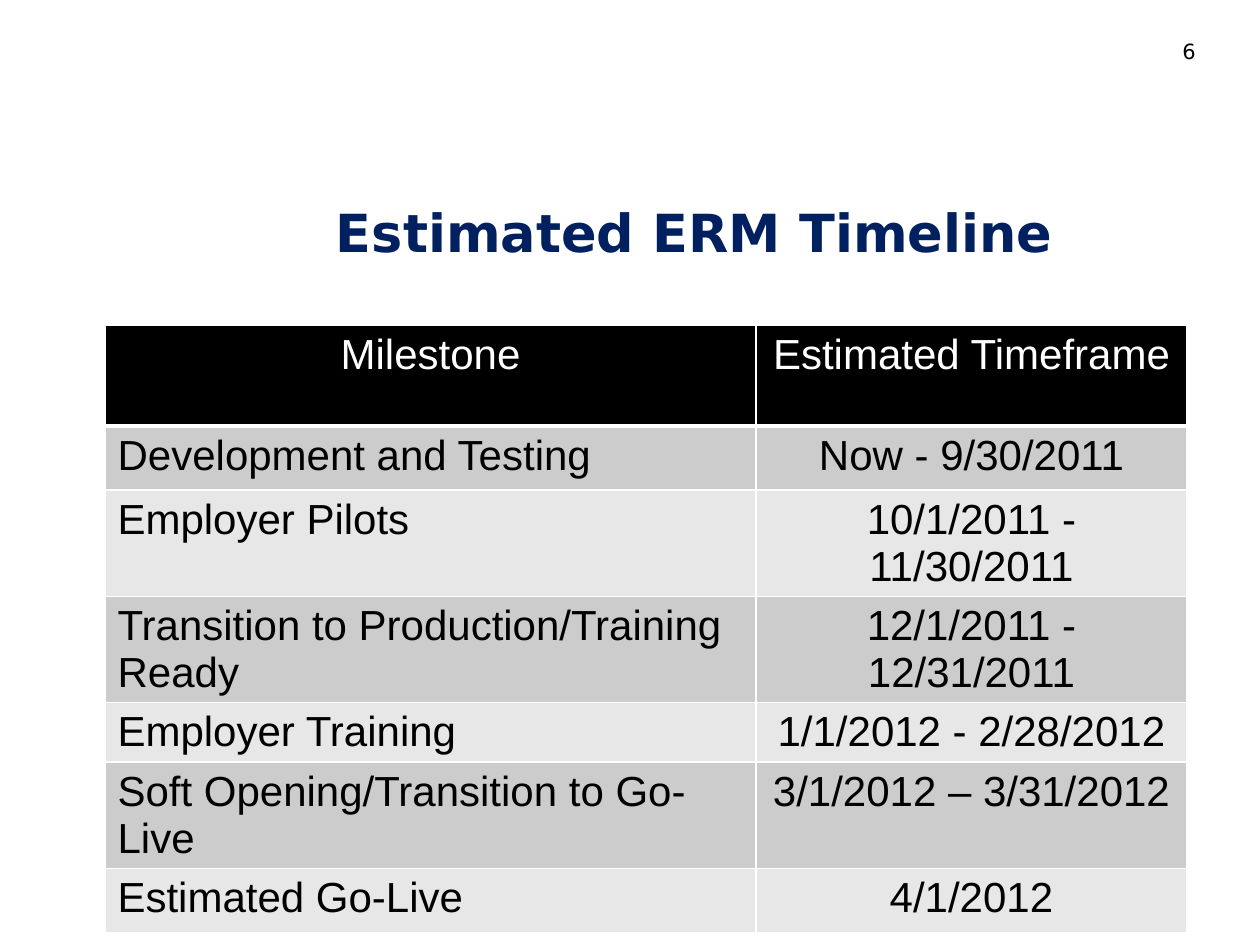
from dataclasses import dataclass
from typing import NamedTuple

from lxml import etree
from pptx import Presentation
from pptx import util as u
from pptx.dml.color import RGBColor
from pptx.enum import text
from pptx.oxml.ns import qn

EMU_PER_PX = 914400 / 126


@dataclass(frozen=True)
class Theme:
    heading_font: str = "DejaVu Sans"
    table_font: str = "Arial"
    number_size: int = 12
    title_size: int = 30
    table_size: int = 24
    navy: str = "002060"
    black: str = "000000"
    white: str = "FFFFFF"
    bands: tuple[str, str] = ("CCCCCC", "E7E7E7")


class Box(NamedTuple):
    left: int
    top: int
    width: int
    height: int


class Milestone(NamedTuple):
    name: str
    timeframe: str
    height: int


THEME = Theme()
HEADER = Milestone("Milestone", "Estimated Timeframe", 101)
MILESTONES = [
    Milestone("Development and Testing", "Now - 9/30/2011", 64),
    Milestone("Employer Pilots", "10/1/2011 - 11/30/2011", 55),
    Milestone("Transition to Production/Training Ready", "12/1/2011 - 12/31/2011", 53),
    Milestone("Employer Training", "1/1/2012 - 2/28/2012", 53),
    Milestone("Soft Opening/Transition to Go-Live", "3/1/2012 – 3/31/2012", 66),
    Milestone("Estimated Go-Live", "4/1/2012", 64),
]
COLUMN_WIDTHS = (651, 431)


def px(length: int) -> u.Emu:
    return u.Emu(round(length * EMU_PER_PX))


def style(paragraph, font: str, size: int, color: str, align, bold: bool = False) -> None:
    paragraph.alignment = align
    paragraph.font.name = font
    paragraph.font.size = u.Pt(size)
    paragraph.font.bold = bold
    paragraph.font.color.rgb = RGBColor.from_string(color)


def add_label(slide, box: Box, words: str):
    frame = slide.shapes.add_textbox(*map(px, box)).text_frame
    frame.word_wrap = True
    frame.text = words
    return frame


def set_borders(cell, color: str, bottom_points: int) -> None:
    properties = cell._tc.get_or_add_tcPr()
    widths = {"a:lnL": 1, "a:lnR": 1, "a:lnT": 1, "a:lnB": bottom_points}
    for position, (side, points) in enumerate(widths.items()):
        line = etree.Element(qn(side), w=str(u.Pt(points)))
        fill = etree.SubElement(line, qn("a:solidFill"))
        etree.SubElement(fill, qn("a:srgbClr"), val=color)
        properties.insert(position, line)


def fill_row(cells, milestone: Milestone, band: str, color: str, name_align,
             bottom_points: int = 1) -> None:
    entries = ((milestone.name, name_align),
               (milestone.timeframe, text.PP_ALIGN.CENTER))
    for cell, (words, align) in zip(cells, entries):
        cell.text = words
        cell.fill.solid()
        cell.fill.fore_color.rgb = RGBColor.from_string(band)
        set_borders(cell, THEME.white, bottom_points)
        style(cell.text_frame.paragraphs[0], THEME.table_font, THEME.table_size,
              color, align)


def add_timeline(slide, left: int, top: int) -> None:
    rows = [HEADER, *MILESTONES]
    height = sum(row.height for row in rows)
    box = Box(left, top, sum(COLUMN_WIDTHS), height)
    table = slide.shapes.add_table(len(rows), len(COLUMN_WIDTHS), *map(px, box)).table
    for column, width in zip(table.columns, COLUMN_WIDTHS):
        column.width = px(width)
    for table_row, row in zip(table.rows, rows):
        table_row.height = px(row.height)

    fill_row(table.rows[0].cells, HEADER, THEME.black, THEME.white,
             text.PP_ALIGN.CENTER, bottom_points=3)
    for index, milestone in enumerate(MILESTONES):
        fill_row(table.rows[index + 1].cells, milestone, THEME.bands[index % 2],
                 THEME.black, text.PP_ALIGN.LEFT)


def main() -> None:
    deck = Presentation()
    deck.slide_width, deck.slide_height = px(1260), px(945)
    slide = deck.slides.add_slide(deck.slide_layouts[6])

    add_timeline(slide, 105, 325)

    number = add_label(slide, Box(1103, 32, 105, 42), "6")
    style(number.paragraphs[0], THEME.heading_font, THEME.number_size, THEME.black,
          text.PP_ALIGN.RIGHT)

    title = add_label(slide, Box(336, 158, 840, 147), "Estimated ERM Timeline")
    title.margin_left = 0
    title.vertical_anchor = text.MSO_ANCHOR.MIDDLE
    style(title.paragraphs[0], THEME.heading_font, THEME.title_size, THEME.navy,
          text.PP_ALIGN.LEFT, bold=True)

    deck.save("out.pptx")


if __name__ == "__main__":
    main()
